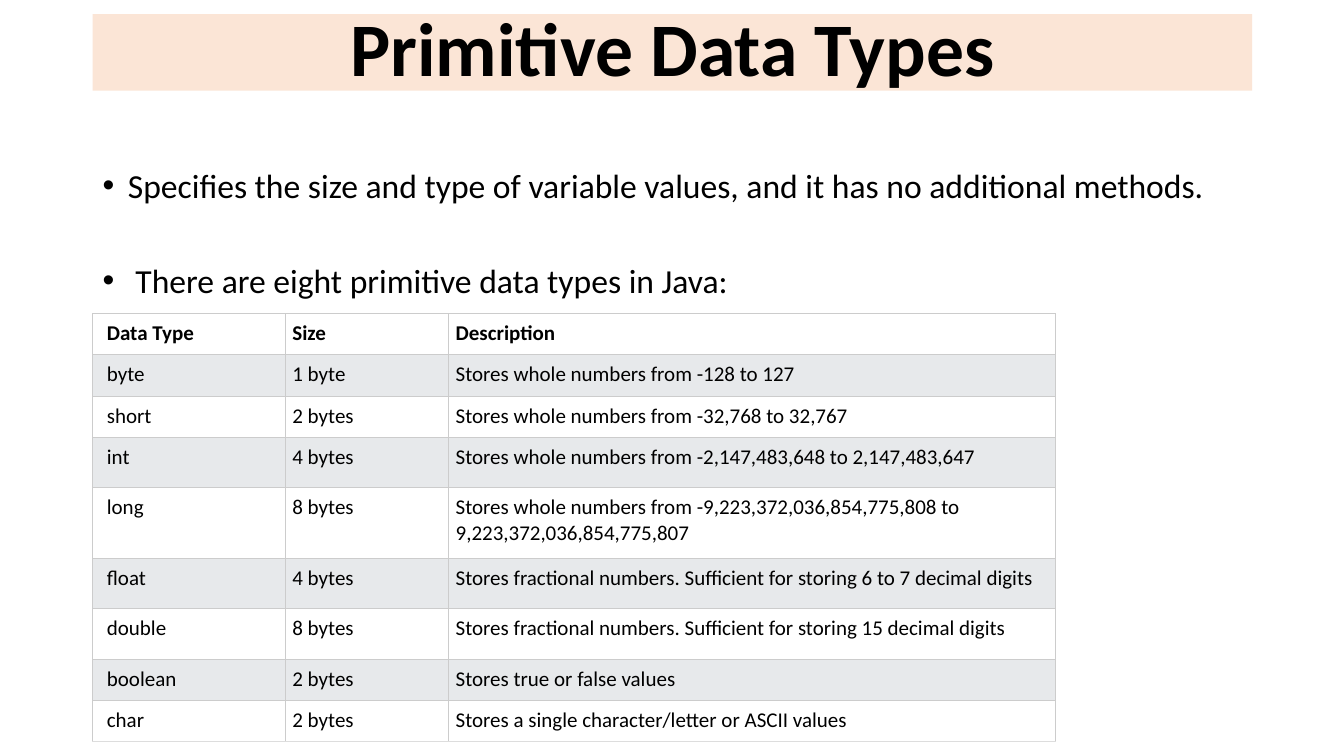
"""Build the slide on primitive data types in Java."""
from lxml.etree import SubElement
from pptx import Presentation
from pptx.dml.color import RGBColor
from pptx.enum.shapes import MSO_SHAPE
from pptx.enum.text import MSO_ANCHOR, PP_ALIGN
from pptx.oxml.ns import qn
from pptx.util import Inches, Pt

TITLE = "Primitive Data Types"
BULLETS = [
    "Specifies the size and type of variable values, and it has no additional methods.",
    " There are eight primitive data types in Java:",
]
ROWS = [
    ("Data Type", "Size", "Description"),
    ("byte", "1 byte", "Stores whole numbers from -128 to 127"),
    ("short", "2 bytes", "Stores whole numbers from -32,768 to 32,767"),
    ("int", "4 bytes", "Stores whole numbers from -2,147,483,648 to 2,147,483,647"),
    ("long", "8 bytes", "Stores whole numbers from -9,223,372,036,854,775,808 to 9,223,372,036,854,775,807"),
    ("float", "4 bytes", "Stores fractional numbers. Sufficient for storing 6 to 7 decimal digits"),
    ("double", "8 bytes", "Stores fractional numbers. Sufficient for storing 15 decimal digits"),
    ("boolean", "2 bytes", "Stores true or false values"),
    ("char", "2 bytes", "Stores a single character/letter or ASCII values"),
]
COL_WIDTHS = [1.91, 1.62, 6.02]
ROW_HEIGHTS = [0.41, 0.41, 0.41, 0.5, 0.7, 0.5, 0.5, 0.41, 0.41]
COLORS = {
    "title": "FBE5D6", "text": "000000", "plain": "FFFFFF",
    "band": "E7E9EB", "grid": "CCCCCC", "bottom": "DDDDDD",
}
FONT = "Calibri"
LEFT, WIDTH = 0.92, 11.5


def rgb(name):
    return RGBColor.from_string(COLORS[name])


def add_run(p, text, size, bold=False):
    r = p.add_run()
    r.text = text
    r.font.name, r.font.size, r.font.bold = FONT, Pt(size), bold
    r.font.color.rgb = rgb("text")


def add_bullet(p):
    pPr = p._p.get_or_add_pPr()
    pPr.set("marL", str(Inches(0.25)))
    pPr.set("indent", str(-Inches(0.25)))
    SubElement(pPr, qn("a:buFont"), typeface="Arial")
    SubElement(pPr, qn("a:buChar"), char="•")


def add_borders(cell, bottom):
    tcPr = cell._tc.get_or_add_tcPr()
    for side, color in (("L", "grid"), ("R", "grid"), ("T", "grid"), ("B", bottom)):
        ln = SubElement(tcPr, qn(f"a:ln{side}"), w=str(Pt(0.75)))
        SubElement(SubElement(ln, qn("a:solidFill")), qn("a:srgbClr"), val=COLORS[color])


def add_title(s):
    sp = s.shapes.add_shape(MSO_SHAPE.RECTANGLE, Inches(LEFT), Inches(0.14), Inches(WIDTH), Inches(0.76))
    sp.shadow.inherit = False
    sp.fill.solid()
    sp.fill.fore_color.rgb = rgb("title")
    sp.line.fill.background()
    tf = sp.text_frame
    tf.word_wrap, tf.vertical_anchor = True, MSO_ANCHOR.MIDDLE
    p = tf.paragraphs[0]
    p.alignment, p.line_spacing = PP_ALIGN.CENTER, 0.9
    add_run(p, TITLE, 54, True)


def add_body(s):
    tf = s.shapes.add_textbox(Inches(LEFT), Inches(1.19), Inches(WIDTH), Inches(5.86)).text_frame
    tf.word_wrap = True
    for i, text in enumerate(BULLETS):
        p = tf.add_paragraph() if i else tf.paragraphs[0]
        add_bullet(p)
        p.line_spacing = 2.0
        p.space_before = Pt(10 if i else 0)
        add_run(p, text, 24)


def add_types_table(s):
    table = s.shapes.add_table(
        len(ROWS), len(COL_WIDTHS), Inches(LEFT), Inches(3.11),
        Inches(sum(COL_WIDTHS)), Inches(sum(ROW_HEIGHTS))).table
    for col, width in zip(table.columns, COL_WIDTHS):
        col.width = Inches(width)
    for i, (row, height, texts) in enumerate(zip(table.rows, ROW_HEIGHTS, ROWS)):
        row.height = Inches(height)
        for j, (cell, text) in enumerate(zip(row.cells, texts)):
            cell.margin_left = Inches(0.07 if j else 0.14)
            cell.margin_right = cell.margin_top = cell.margin_bottom = Inches(0.07)
            add_borders(cell, "bottom" if i == len(ROWS) - 1 else "grid")
            cell.fill.solid()
            cell.fill.fore_color.rgb = rgb("band" if i % 2 else "plain")
            add_run(cell.text_frame.paragraphs[0], text, 15, i == 0)


def main():
    prs = Presentation()
    prs.slide_width, prs.slide_height = Inches(13.33), Inches(7.5)
    s = prs.slides.add_slide(prs.slide_layouts[6])
    add_title(s)
    add_body(s)
    add_types_table(s)
    prs.save("out.pptx")


if __name__ == "__main__":
    main()
